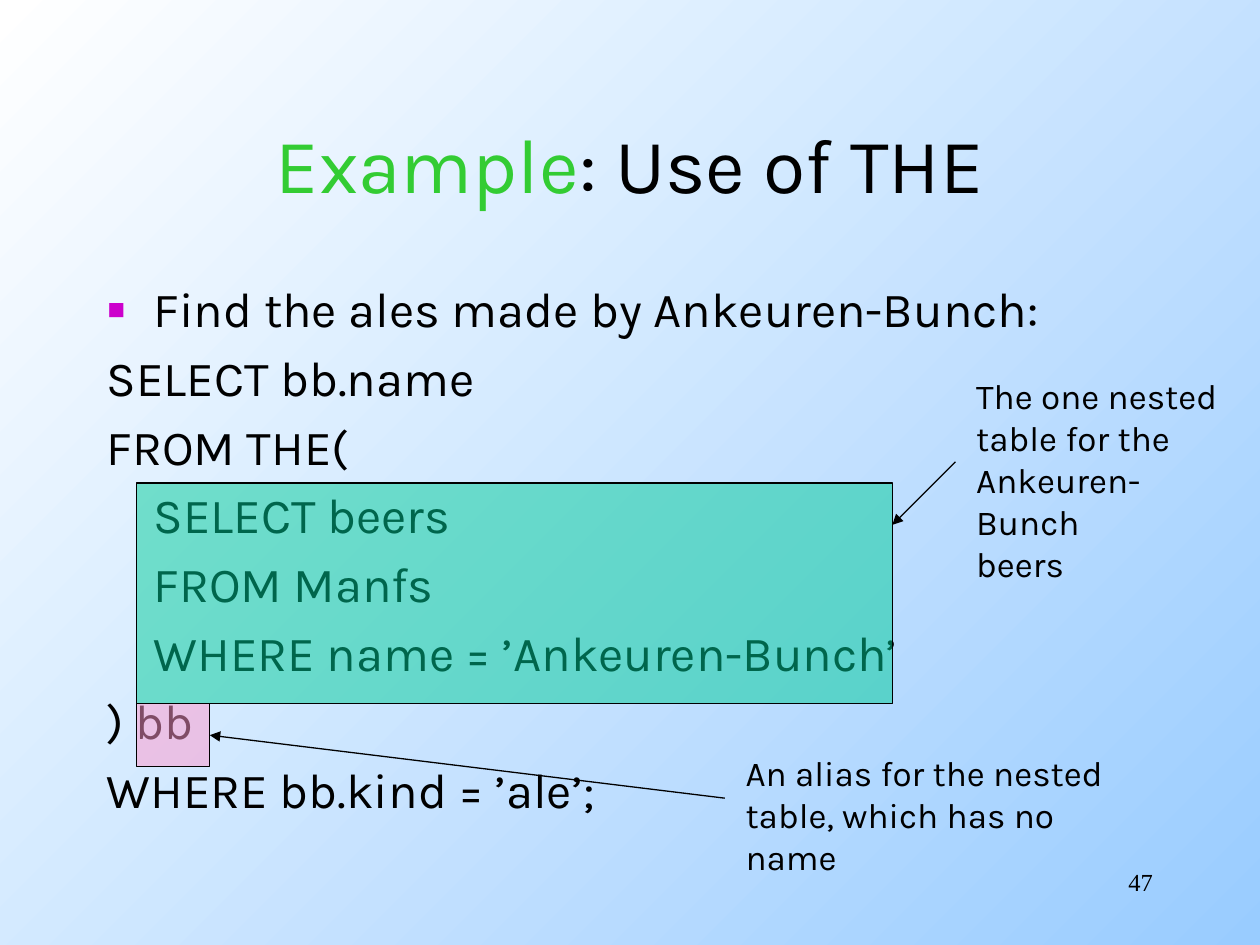
"""Build the slide that explains THE with a nested table query."""
from lxml import etree
from pptx import Presentation
from pptx.dml.color import RGBColor
from pptx.enum.shapes import MSO_CONNECTOR, MSO_SHAPE
from pptx.enum.text import MSO_ANCHOR, PP_ALIGN
from pptx.oxml.ns import qn
from pptx.util import Cm, Pt

LEFT, CENTER, RIGHT = PP_ALIGN.LEFT, PP_ALIGN.CENTER, PP_ALIGN.RIGHT
TOP, MIDDLE = MSO_ANCHOR.TOP, MSO_ANCHOR.MIDDLE
RECTANGLE, STRAIGHT = MSO_SHAPE.RECTANGLE, MSO_CONNECTOR.STRAIGHT

COLORS = {
    "text": "000000", "accent": "33CC33", "bullet": "CC00CC",
    "query": "00CC99", "alias": "FF99CC",
    "background_start": "FFFFFF", "background_end": "99CCFF",
}
FONT, NUMBER_FONT = "Karla", "Times New Roman"
INDENT = Cm(0.95)

TITLE = [[("Example", "accent"), (": Use of THE", "text")]]
BULLET = "Find the ales made by Ankeuren-Bunch:"
QUERY = [
    "SELECT bb.name",
    "FROM THE(",
    "\tSELECT beers",
    "\tFROM Manfs",
    "\tWHERE name = ’Ankeuren-Bunch’",
    ") bb",
    "WHERE bb.kind = ’ale’;",
]
CALLOUTS = [
    {
        "lines": ["The one nested", "table for the", "Ankeuren-Bunch", "beers"],
        "text_box": (19.43, 7.42, 5.51, 3.63),
        "highlight": (2.75, 9.74, 15.24, 4.44), "color": "query",
        "arrow": (19.26, 9.31, 17.99, 10.58),
    },
    {
        "lines": ["An alias for the nested", "table, which has no name"],
        "text_box": (14.78, 15.03, 8.5, 1.96),
        "highlight": (2.75, 14.18, 1.48, 1.27), "color": "alias",
        "arrow": (14.61, 16.09, 4.23, 14.82),
    },
]


def color(name):
    return RGBColor.from_string(COLORS[name])


def plain(lines):
    return [[(line, "text")] for line in lines]


def add_text(slide, box, paragraphs, size, align=LEFT, anchor=TOP, font=FONT):
    shape = slide.shapes.add_textbox(*map(Cm, box))
    frame = shape.text_frame
    frame.word_wrap = True
    frame.vertical_anchor = anchor
    for index, runs in enumerate(paragraphs):
        paragraph = frame.add_paragraph() if index else frame.paragraphs[0]
        paragraph.alignment = align
        for text, color_name in runs:
            run = paragraph.add_run()
            run.text = text
            run.font.name = font
            run.font.size = Pt(size)
            run.font.color.rgb = color(color_name)
    return frame


def format_body(paragraph, bulleted):
    properties = paragraph._p.get_or_add_pPr()
    properties.set("marL", str(INDENT))
    properties.set("indent", str(-INDENT))
    before = etree.SubElement(properties, qn("a:spcBef"))
    etree.SubElement(before, qn("a:spcPct")).set("val", "20000")
    if bulleted:
        bullet_color = etree.SubElement(properties, qn("a:buClr"))
        etree.SubElement(bullet_color, qn("a:srgbClr")).set("val", COLORS["bullet"])
        etree.SubElement(properties, qn("a:buFont")).set("typeface", FONT)
        etree.SubElement(properties, qn("a:buChar")).set("char", "▪")
    else:
        etree.SubElement(properties, qn("a:buNone"))


def set_outline(line):
    line.color.rgb = color("text")
    line.width = Pt(0.75)


def add_highlight(slide, box, color_name):
    shape = slide.shapes.add_shape(RECTANGLE, *map(Cm, box))
    shape.shadow.inherit = False
    shape.fill.solid()
    shape.fill.fore_color.rgb = color(color_name)
    fill_color = shape._element.spPr.find(qn("a:solidFill")).find(qn("a:srgbClr"))
    etree.SubElement(fill_color, qn("a:alpha")).set("val", "50000")
    set_outline(shape.line)


def add_arrow(slide, points):
    connector = slide.shapes.add_connector(STRAIGHT, *map(Cm, points))
    set_outline(connector.line)
    properties = connector._element.spPr
    outline = properties.find(qn("a:ln"))
    etree.SubElement(outline, qn("a:tailEnd")).set("type", "triangle")
    etree.SubElement(properties, qn("a:effectLst"))


presentation = Presentation()
presentation.slide_width, presentation.slide_height = Cm(25.4), Cm(19.05)
slide = presentation.slides.add_slide(presentation.slide_layouts[6])

background = slide.background.fill
background.gradient()
background.gradient_angle = 315
for stop, name, position in zip(
        background.gradient_stops, ("background_start", "background_end"), (0, 1)):
    stop.color.rgb = color(name)
    stop.position = position

add_text(slide, (18.21, 17.35, 5.28, 1.27), plain(["47"]), 14, RIGHT, font=NUMBER_FONT)
add_text(slide, (1.9, 1.7, 21.6, 3.18), TITLE, 44, CENTER, MIDDLE)
body = add_text(slide, (1.9, 5.5, 21.6, 11.43), plain([BULLET] + QUERY), 28)
for index, paragraph in enumerate(body.paragraphs):
    format_body(paragraph, bulleted=index == 0)

for callout in CALLOUTS:
    add_highlight(slide, callout["highlight"], callout["color"])
    add_text(slide, callout["text_box"], plain(callout["lines"]), 20)
    add_arrow(slide, callout["arrow"])

presentation.save("out.pptx")
